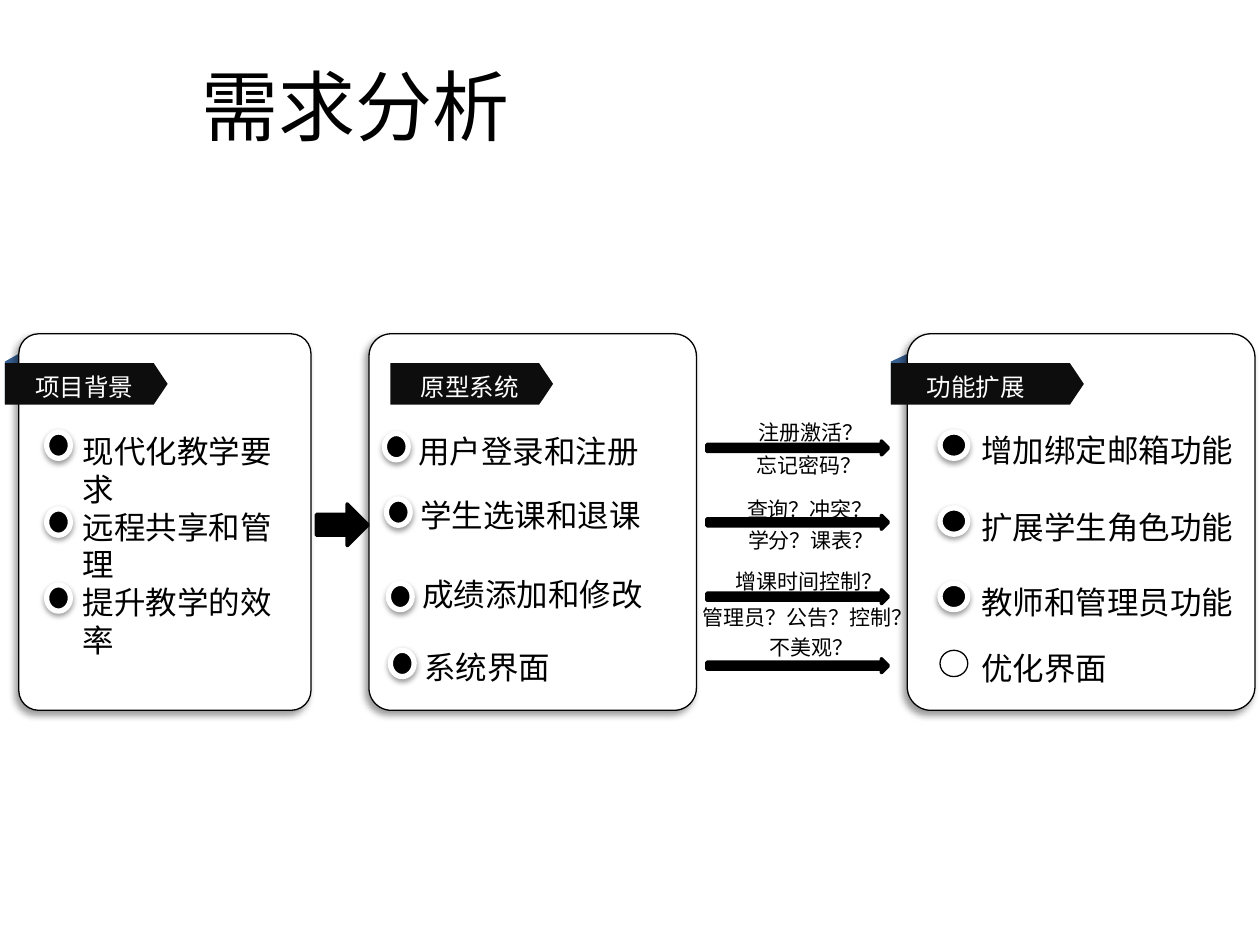
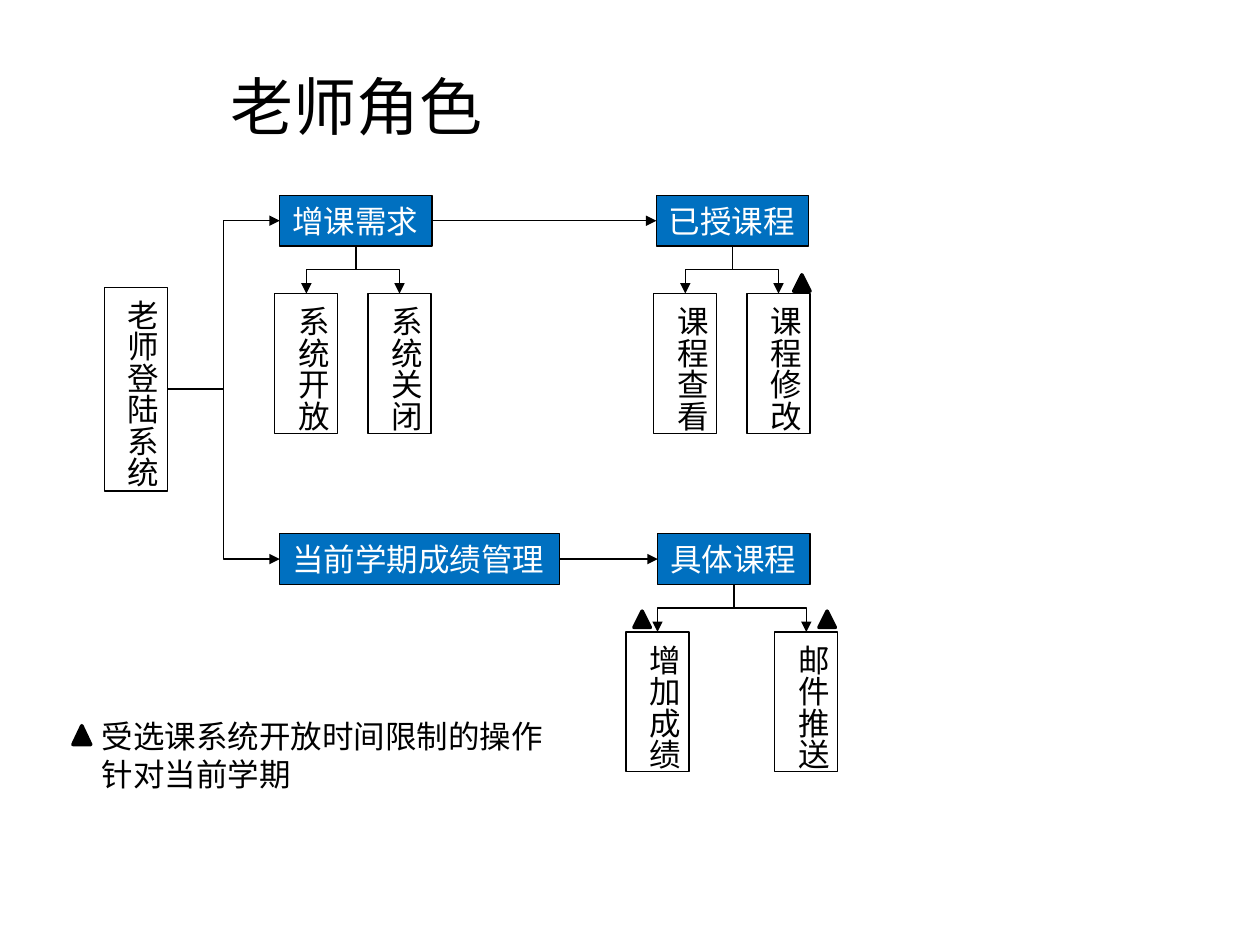
from lxml import etree
from pptx import Presentation
from pptx.dml.color import RGBColor
from pptx.enum import lang, shapes, text
from pptx.oxml import ns
from pptx.util import Cm, Pt

BLACK, WHITE, BLUE, NAVY, COAL = "000000", "FFFFFF", "0070C0", "376092", "0D0D0D"
FONT, TAG_FONT = "Calibri", "Noto Sans CJK SC"
KIND = shapes.MSO_SHAPE

# All lengths are centimetres.
CARD_TOP, CARD_H = 6.73, 7.59
TAG_TOP, TAG_H = 7.32, 0.84
CARDS = [
    dict(tag="项目背景", box=(0.38, 5.89), flag=(0.1, 3.28), fold=0.38,
         dot=(0.94, 0.48), item=(1.42, 4.8), drift=0,
         rows=[("现代化教学要求", 8.71, 8.59), ("远程共享和管理", 10.26, 10.11),
               ("提升教学的效率", 11.79, 11.63)]),
    dict(tag="原型系统", box=(7.44, 6.6), flag=(7.87, 3.28), fold=0,
         dot=(7.75, 0.48), item=(8.18, 5.3), drift=0.04,
         rows=[("用户登录和注册", 8.74, 8.59), ("学生选课和退课", 10.06, 9.88),
               ("成绩添加和修改", 11.76, 11.46), ("系统界面", 13.11, 12.93)]),
    dict(tag="功能扩展", box=(18.29, 7.01), flag=(17.96, 3.89), fold=0.46,
         dot=(18.95, 0.56), item=(19.53, 6.2), drift=0,
         rows=[("增加绑定邮箱功能", 8.71, 8.56), ("扩展学生角色功能", 10.24, 10.11),
               ("教师和管理员功能", 11.76, 11.63), ("优化界面", 13.11, 12.95)]),
]
HOLLOW = "优化界面"
ARROWS = [8.89, 10.39, 11.89, 13.28]
ISSUES = [
    ("注册激活？", 15.04, 8.33, 2.39), ("忘记密码？", 15.01, 8.99, 2.39),
    ("查询？冲突？", 14.81, 9.88, 2.79), ("学分？课表？", 14.83, 10.52, 2.79),
    ("增课时间控制？", 14.58, 11.33, 4.34), ("管理员？公告？控制？", 13.92, 12.07, 4.8),
    ("不美观？", 15.27, 12.67, 1.93),
]

ROOT = "老师登陆系统"
STEPS = {
    "增课需求": (5.64, 3.94, 3.07, 1.02), "已授课程": (13.23, 3.94, 3.07, 1.02),
    "当前学期成绩管理": (5.64, 10.76, 5.64, 1.02), "具体课程": (13.26, 10.76, 3.07, 1.02),
}
TASKS = {
    ROOT: (2.11, 5.79, 1.27, 4.11),
    "系统开放": (5.54, 5.92, 1.27, 2.82), "系统关闭": (7.42, 5.92, 1.27, 2.82),
    "课程查看": (13.18, 5.92, 1.27, 2.82), "课程修改": (15.06, 5.92, 1.27, 2.82),
    "增加成绩": (12.62, 12.74, 1.27, 2.82), "邮件推送": (15.62, 12.74, 1.27, 2.82),
}
ACROSS = [("增课需求", "已授课程"), ("当前学期成绩管理", "具体课程")]
DOWN = {"增课需求": ("系统开放", "系统关闭"), "已授课程": ("课程查看", "课程修改"),
        "具体课程": ("增加成绩", "邮件推送")}
MARKS = [(16, 5.54, 0.33, 0.33), (12.78, 12.32, 0.33, 0.33),
         (16.51, 12.32, 0.33, 0.33), (1.47, 14.63, 0.36, 0.38)]
LEGEND = ["受选课系统开放时间限制的操作", "针对当前学期"]


def hue(code):
    return RGBColor.from_string(code)


def cms(box):
    return [Cm(n) for n in box]


def paint(shape, fill=None, line=None, width=0.75):
    if fill:
        shape.fill.solid()
        shape.fill.fore_color.rgb = hue(fill)
    if line:
        shape.line.color.rgb = hue(line)
        shape.line.width = Pt(width)
    else:
        shape.line.fill.background()


def draw(slide, kind, box, fill, line=None, width=0.75):
    shape = slide.shapes.add_shape(kind, *cms(box))
    shape.shadow.inherit = False
    paint(shape, fill, line, width)
    return shape


def shade(shape, alpha, blur, dist, angle):
    """Give the shape a soft black outer shadow (points, percent, degrees)."""
    effects = shape._element.spPr.find(ns.qn("a:effectLst"))
    outer = etree.SubElement(effects, ns.qn("a:outerShdw"), blurRad=str(Pt(blur)),
                             dist=str(Pt(dist)), dir=str(angle * 60000), rotWithShape="0")
    color = etree.SubElement(outer, ns.qn("a:srgbClr"), val=BLACK)
    etree.SubElement(color, ns.qn("a:alpha"), val=str(alpha * 1000))


def style(frame, size, color=BLACK, font=FONT):
    for para in frame.paragraphs:
        for run in para.runs:
            run.font.size = Pt(size)
            run.font.name = font
            run.font.color.rgb = hue(color)
            run.font.language_id = lang.MSO_LANGUAGE_ID.SIMPLIFIED_CHINESE


def write(slide, words, box, size=18, color=BLACK, font=FONT, wrap=True):
    shape = slide.shapes.add_textbox(*cms(box))
    frame = shape.text_frame
    frame.text = words
    frame.word_wrap = wrap
    frame.auto_size = text.MSO_AUTO_SIZE.SHAPE_TO_FIT_TEXT
    style(frame, size, color, font)
    return shape


def start(deck, words, size):
    slide = deck.slides.add_slide(deck.slide_layouts[5])
    title = slide.shapes.title
    title.left, title.top, title.width, title.height = cms((0.08, 0.53, 14.2, 3.18))
    frame = title.text_frame
    frame.text = words
    frame.vertical_anchor = text.MSO_ANCHOR.MIDDLE
    frame.paragraphs[0].alignment = text.PP_ALIGN.CENTER
    style(frame, size)
    return slide


def flag(slide, card):
    left, width = card["flag"]
    shape = draw(slide, KIND.PENTAGON, (left, TAG_TOP, width, TAG_H), COAL)
    shape.adjustments[0] = 0.335
    label = write(slide, card["tag"], (left + 0.185 * width, TAG_TOP + 0.07, width * 0.66, 0.66),
                  14, WHITE, TAG_FONT)
    frame = label.text_frame
    frame.margin_left = frame.margin_right = frame.margin_top = frame.margin_bottom = 0
    frame.paragraphs[0].line_spacing = 1.2


def fold(slide, card):
    """Draw the ribbon end that tucks behind the card."""
    deep, long = card["fold"], 1.07
    mid = card["flag"][0] + deep / 2
    shape = draw(slide, KIND.FLOWCHART_DATA, (mid - long / 2, 7.61 - deep / 2, long, deep), NAVY)
    shape.rotation = 270
    shape._element.spPr.find(ns.qn("a:xfrm")).set("flipH", "1")


def panel(slide, card):
    if card["fold"]:
        fold(slide, card)
    left, width = card["box"]
    base = draw(slide, KIND.ROUNDED_RECTANGLE, (left, CARD_TOP, width, CARD_H), WHITE, BLACK)
    base.adjustments[0] = 0.068
    shade(base, 40, 4, 3, 135)
    flag(slide, card)
    for i, (words, dot_y, text_y) in enumerate(card["rows"]):
        shift = i * card["drift"]
        spot = (card["dot"][0] + shift, dot_y, card["dot"][1], 0.53)
        if words == HOLLOW:
            draw(slide, KIND.OVAL, spot, WHITE, BLACK)
        else:
            shade(draw(slide, KIND.OVAL, spot, BLACK, WHITE, 3), 38, 3.1, 1.6, 90)
        write(slide, words, (card["item"][0] + shift, text_y, card["item"][1], 0.94))


def link(slide, kind, x1, y1, x2, y2):
    line = slide.shapes.add_connector(kind, *cms((x1, y1, x2, y2)))
    line.line.color.rgb = hue(BLACK)
    line.line.width = Pt(0.75)
    props = line._element.spPr
    etree.SubElement(props.find(ns.qn("a:ln")), ns.qn("a:tailEnd"), type="triangle")
    etree.SubElement(props, ns.qn("a:effectLst"))
    return line


def drop(slide, x1, y1, x2, y2):
    """Link downwards with a level middle part: an elbow turned by a quarter."""
    mid_x, mid_y = (x1 + x2) / 2, (y1 + y2) / 2
    half, rise = (y2 - y1) / 2, abs(x2 - x1) / 2
    turn = 90
    if x2 > x1:
        half, turn = -half, 270
    line = link(slide, shapes.MSO_CONNECTOR.ELBOW,
                mid_x - half, mid_y - rise, mid_x + half, mid_y + rise)
    line._element.spPr.find(ns.qn("a:xfrm")).set("rot", str(turn * 60000))


def needs(deck):
    slide = start(deck, "需求分析", 44)
    for card in CARDS:
        panel(slide, card)
    draw(slide, KIND.RIGHT_ARROW, (6.38, 10.16, 1.04, 0.84), BLACK, BLACK, 2)
    for top in ARROWS:
        draw(slide, KIND.RIGHT_ARROW, (14.25, top, 3.66, 0.28), BLACK, BLACK, 2)
    for words, left, top, width in ISSUES:
        write(slide, words, (left, top, width, 0.76), 12)


def roles(deck):
    slide = start(deck, "老师角色", 36)
    for words, box in STEPS.items():
        paint(write(slide, words, box, color=WHITE, wrap=False), BLUE, BLACK)
    for words, box in TASKS.items():
        shape = write(slide, words, box, wrap=False)
        paint(shape, line=BLACK)
        shape.text_frame._txBody.bodyPr.set("vert", "eaVert")

    def side(name, right):
        x, y, w, h = (STEPS | TASKS)[name]
        return x + w * right, y + h / 2

    for a, b in ACROSS:
        link(slide, shapes.MSO_CONNECTOR.STRAIGHT, *side(a, 1), *side(b, 0))
        link(slide, shapes.MSO_CONNECTOR.ELBOW, *side(ROOT, 1), *side(a, 0))
    for name, kids in DOWN.items():
        x, y, w, h = STEPS[name]
        for kid in kids:
            kid_x, kid_y, kid_w, _ = TASKS[kid]
            drop(slide, x + w / 2, y + h, kid_x + kid_w / 2, kid_y)
    for box in MARKS:
        draw(slide, KIND.ISOSCELES_TRIANGLE, box, BLACK, BLACK, 2)
    write(slide, "\n".join(LEGEND), (1.8, 14.33, 9.5, 1.8), wrap=False)


def main():
    deck = Presentation()
    deck.slide_width, deck.slide_height = Cm(25.4), Cm(19.05)
    needs(deck)
    roles(deck)
    deck.save("out.pptx")


if __name__ == "__main__":
    main()
